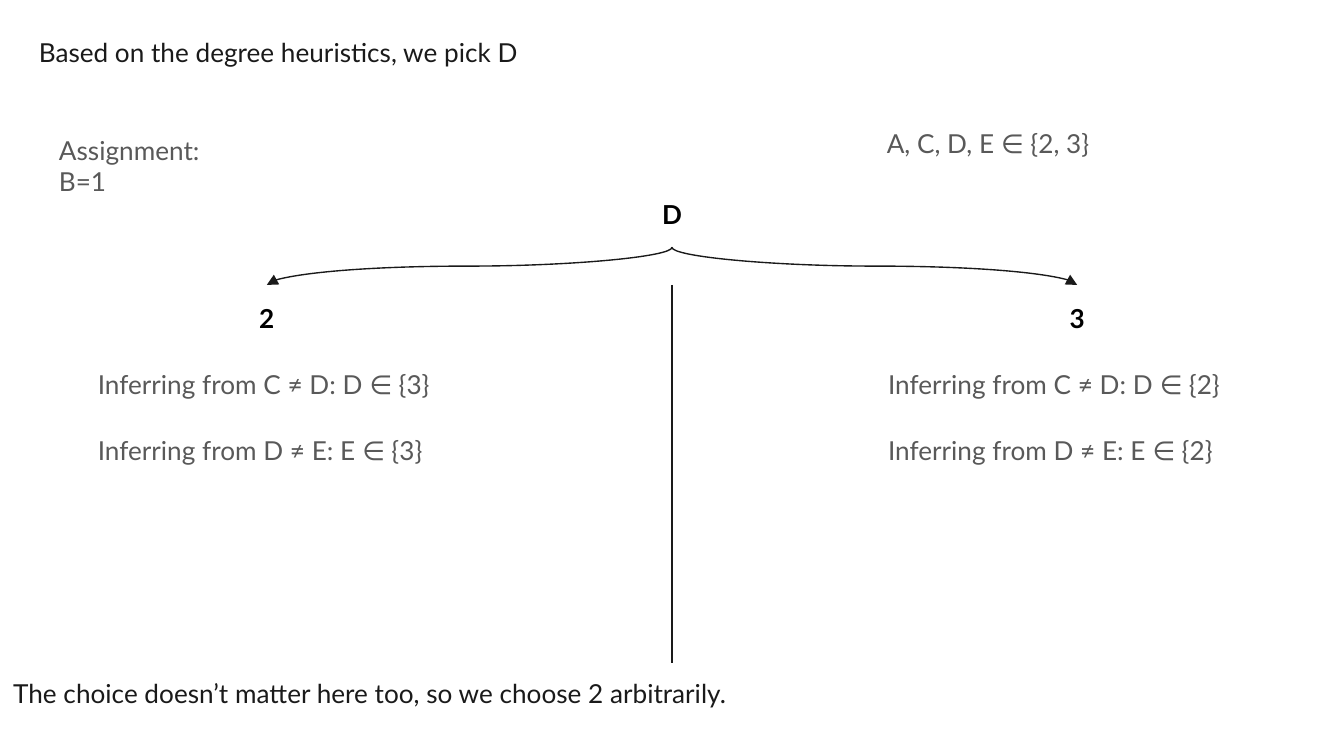
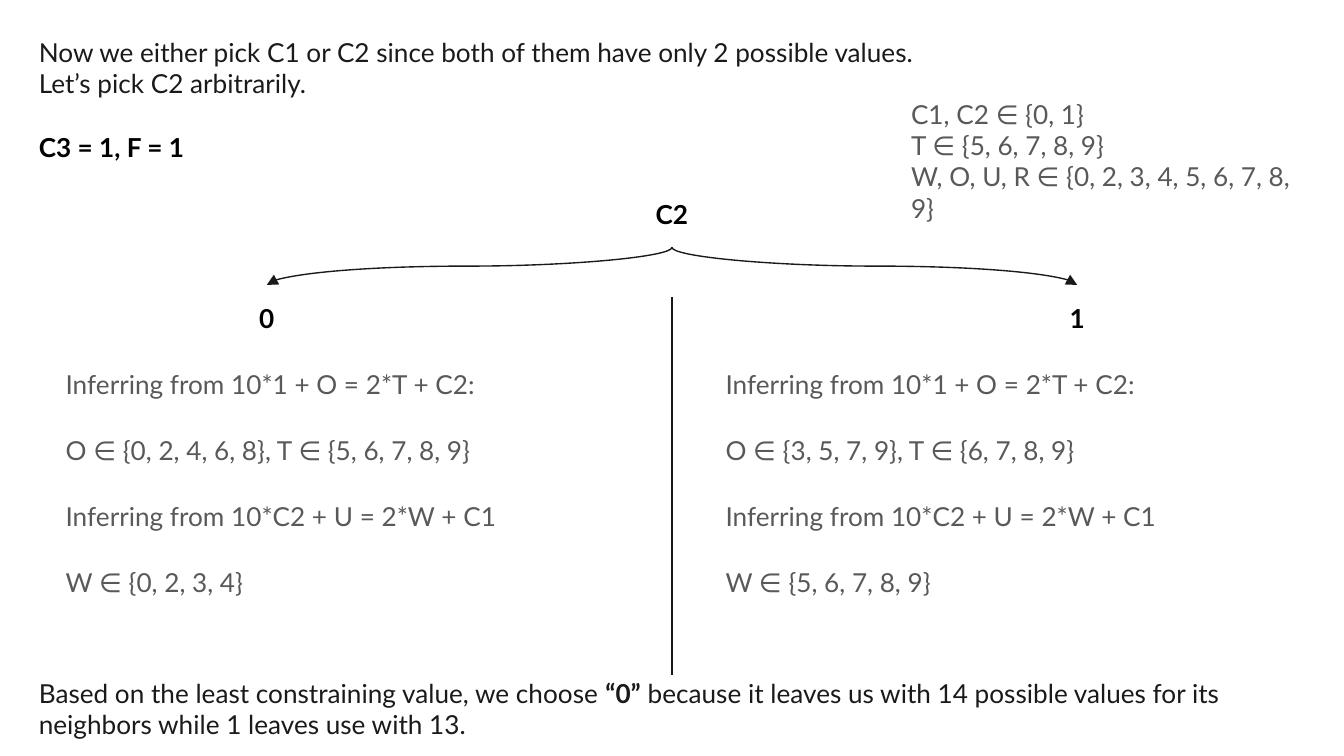
"""Build two slides that show one branching step of a constraint search each."""
from lxml.etree import SubElement
from pptx import Presentation
from pptx.dml.color import RGBColor
from pptx.enum.shapes import MSO_CONNECTOR
from pptx.enum.text import MSO_ANCHOR, PP_ALIGN
from pptx.oxml.ns import qn
from pptx.util import Inches, Pt

SLIDE_SIZE = {"slide_width": Inches(10), "slide_height": Inches(10) * 9 // 16}
COLORS = {"paper": "FFFFFF", "ink": "1A1A1A", "label": "000000", "body": "595959"}
FONT = {"name": "Lato", "size": Pt(14)}
FRAME = {"word_wrap": True, **{f"margin_{side}": Inches(0.1)
                               for side in ("left", "top", "right", "bottom")}}
LABEL = {"color": "label", "bold": True, "anchor": MSO_ANCHOR.MIDDLE}
LABEL_WIDTH, LABEL_HEIGHT = 0.61, 0.49
TREE_BOX = (1.68, 1.35, 6.64, 1.26)
TITLE_BOX = (0.19, 0.17, 9.61, 0.86)
INFERENCE_TOP, INFERENCE_HEIGHT = 2.61, 2.33
DIVIDER_HEIGHT = 2.81

STEPS = [
    {
        "title": ["Based on the degree heuristics, we pick D"],
        "assignment": ((0.34, 0.9, 3.44, 0.94), ["Assignment:", "B=1"], {"color": "body"}),
        "domains": ((6.5, 0.85, 3.44, 0.94), ["A, C, D, E ∈ {2, 3}"]),
        "variable": "D",
        "values": ("2", "3"),
        "inference_width": 2.87,
        "inferences": [
            (0.63, ["Inferring from C ≠ D: D ∈ {3}", "Inferring from D ≠ E: E ∈ {3}"]),
            (6.51, ["Inferring from C ≠ D: D ∈ {2}", "Inferring from D ≠ E: E ∈ {2}"]),
        ],
        "divider_top": 2.12,
        "conclusion": ((0, 4.94, 10, 0.69),
                       ["The choice doesn’t matter here too, so we choose 2 arbitrarily."]),
    },
    {
        "title": ["Now we either pick C1 or C2 since both of them have only 2 possible values.",
                  "Let’s pick C2 arbitrarily."],
        "assignment": ((0.19, 0.85, 1.48, 0.49), ["C3 = 1, F = 1"], LABEL),
        "domains": ((6.68, 0.63, 3.22, 0.94),
                    ["C1, C2 ∈ {0, 1}", "T ∈ {5, 6, 7, 8, 9}",
                     "W, O, U, R ∈ {0, 2, 3, 4, 5, 6, 7, 8, 9}"]),
        "variable": "C2",
        "values": ("0", "1"),
        "inference_width": 4.31,
        "inferences": [
            (left, ["Inferring from 10*1 + O = 2*T + C2:", first,
                    "Inferring from 10*C2 + U = 2*W + C1", second])
            for left, first, second in [
                (0.39, "O ∈ {0, 2, 4, 6, 8}, T ∈ {5, 6, 7, 8, 9}", "W ∈ {0, 2, 3, 4}"),
                (5.3, "O ∈ {3, 5, 7, 9}, T ∈ {6, 7, 8, 9}", "W ∈ {5, 6, 7, 8, 9}"),
            ]
        ],
        "divider_top": 2.21,
        "conclusion": ((0.19, 4.94, 9.61, 0.69),
                       [[("Based on the least constraining value, we choose ", False),
                         ("“0”", True),
                         (" because it leaves us with 14 possible values for its neighbors"
                          " while 1 leaves use with 13.", False)]]),
    },
]


def apply_format(target, values):
    """Set every attribute named in a dict of format values."""
    for name, value in values.items():
        setattr(target, name, value)


def add_text(slide, box, lines, color="ink", bold=False, anchor=MSO_ANCHOR.TOP,
             align=PP_ALIGN.LEFT, line_spacing=1.0, gap=0):
    """Write one paragraph per line; a line is a string or a list of (text, bold) runs."""
    frame = slide.shapes.add_textbox(*map(Inches, box)).text_frame
    apply_format(frame, {**FRAME, "vertical_anchor": anchor})
    for index, line in enumerate(lines):
        paragraph = frame.add_paragraph() if index else frame.paragraphs[0]
        apply_format(paragraph, {"alignment": align, "line_spacing": line_spacing,
                                 "space_before": Pt(gap if index else 0)})
        for text, run_bold in [(line, bold)] if isinstance(line, str) else line:
            run = paragraph.add_run()
            run.text = text
            apply_format(run.font, {**FONT, "bold": run_bold})
            run.font.color.rgb = RGBColor.from_string(COLORS[color])


def add_line(slide, kind, start, end):
    """Draw a thin connector without a shadow."""
    connector = slide.shapes.add_connector(kind, *map(Inches, (*start, *end)))
    connector.line.width = Pt(0.75)
    connector.line.color.rgb = RGBColor.from_string(COLORS["ink"])
    SubElement(connector._element.spPr, qn("a:effectLst"))
    return connector


def add_branch(slide, start, end):
    """Draw a curved arrow that leaves and arrives vertically, as a turned connector."""
    center_x, center_y = (start[0] + end[0]) / 2, (start[1] + end[1]) / 2
    half_width, half_height = (end[1] - start[1]) / 2, abs(end[0] - start[0]) / 2
    turn, side = (90, 1) if end[0] < start[0] else (270, -1)
    connector = add_line(slide, MSO_CONNECTOR.CURVE,
                         (center_x - side * half_width, center_y - half_height),
                         (center_x + side * half_width, center_y + half_height))
    connector._element.spPr.find(qn("a:xfrm")).set("rot", str(turn * 60000))
    SubElement(connector.line._get_or_add_ln(), qn("a:tailEnd"), type="triangle")


def add_tree(slide, box, variable, values):
    """Place the variable at the top centre of the box and its two values at the lower corners."""
    left, top, width, height = box
    center = left + width / 2
    value_top = top + height - LABEL_HEIGHT
    label_lefts = (left, left + width - LABEL_WIDTH)
    labels = [(center - LABEL_WIDTH / 2, top, variable)]
    labels += [(label_left, value_top, value) for label_left, value in zip(label_lefts, values)]
    for label_left, label_top, text in labels:
        add_text(slide, (label_left, label_top, LABEL_WIDTH, LABEL_HEIGHT), [text],
                 align=PP_ALIGN.CENTER, **LABEL)
    for label_left in label_lefts:
        add_branch(slide, (center, top + LABEL_HEIGHT), (label_left + LABEL_WIDTH / 2, value_top))


def add_step_slide(presentation, step):
    """Add one search step: title, state, tree, inferences and conclusion."""
    slide = presentation.slides.add_slide(presentation.slide_layouts[6])
    slide.background.fill.solid()
    slide.background.fill.fore_color.rgb = RGBColor.from_string(COLORS["paper"])
    add_text(slide, TITLE_BOX, step["title"])
    add_tree(slide, TREE_BOX, step["variable"], step["values"])
    add_line(slide, MSO_CONNECTOR.STRAIGHT, (5, step["divider_top"]),
             (5, step["divider_top"] + DIVIDER_HEIGHT))
    add_text(slide, *step["conclusion"])
    for left, lines in step["inferences"]:
        add_text(slide, (left, INFERENCE_TOP, step["inference_width"], INFERENCE_HEIGHT),
                 lines, color="body", line_spacing=1.15, gap=16)
    add_text(slide, *step["domains"], color="body")
    box, lines, style = step["assignment"]
    add_text(slide, box, lines, **style)


def main():
    """Build and save the presentation."""
    presentation = Presentation()
    apply_format(presentation, SLIDE_SIZE)
    for step in STEPS:
        add_step_slide(presentation, step)
    presentation.save("out.pptx")


if __name__ == "__main__":
    main()
